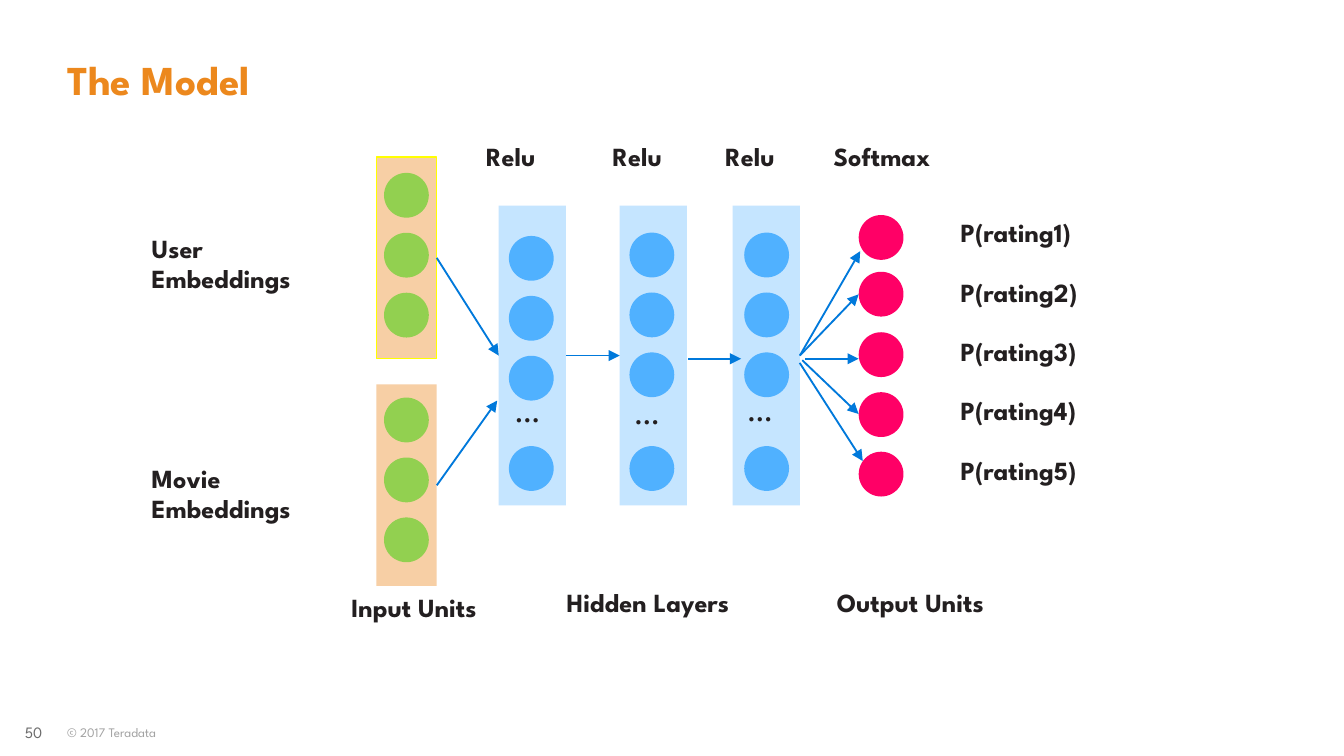
import pptx
import pptx.util
import pptx.dml.color
import pptx.enum.shapes
import pptx.enum.text
import pptx.oxml
import pptx.oxml.ns

Pt = pptx.util.Pt
RGBColor = pptx.dml.color.RGBColor
SHAPE = pptx.enum.shapes.MSO_SHAPE
ALIGN = pptx.enum.text.PP_ALIGN
ANCHOR = pptx.enum.text.MSO_ANCHOR

FONT = "League Spartan"
ORANGE = RGBColor(0xEC, 0x88, 0x1D)
INK = RGBColor(0x23, 0x1F, 0x20)
NUMBER_GREY = RGBColor(0x6C, 0x6C, 0x6C)
FOOTER_GREY = RGBColor(0xA2, 0xA2, 0xA2)
PEACH = RGBColor(0xF7, 0xCF, 0xA5)
YELLOW = RGBColor(0xFF, 0xFF, 0x00)
PALE_BLUE = RGBColor(0xC5, 0xE5, 0xFF)
BLUE = RGBColor(0x50, 0xB1, 0xFF)
GREEN = RGBColor(0x92, 0xD0, 0x50)
PINK = RGBColor(0xFF, 0x00, 0x66)
ARROW_BLUE = RGBColor(0x00, 0x79, 0xDB)

UNIT_SIZE = 24
UNIT_PITCH = 32.1
INPUT_LEFT = 201.6
HIDDEN_TOP = 110.2

RIGHT_SIDE, LEFT_SIDE = 3, 1


def format_text(frame, text, size, color, bold, spacing=None, align=None):
    frame.text = text
    paragraph = frame.paragraphs[0]
    paragraph.alignment = align
    paragraph.line_spacing = spacing
    font = paragraph.runs[0].font
    font.name, font.size, font.bold = FONT, Pt(size), bold
    font.color.rgb = color


def remove_insets(frame):
    frame.margin_left = frame.margin_right = Pt(0)
    frame.margin_top = frame.margin_bottom = Pt(0)


def add_title(slide, text):
    title = slide.shapes.title
    title.left, title.top, title.width, title.height = Pt(36), Pt(13), Pt(648), Pt(43)
    frame = title.text_frame
    remove_insets(frame)
    frame.vertical_anchor = ANCHOR.BOTTOM
    format_text(frame, text, 22, ORANGE, True, 0.95, ALIGN.LEFT)


def add_label(slide, text, left, top, width, height=23, size=14, bold=True):
    label = slide.shapes.add_textbox(Pt(left), Pt(top), Pt(width), Pt(height))
    label.text_frame.word_wrap = True
    format_text(label.text_frame, text, size, INK, bold, 0.95)


def add_footer(slide, text, left, width, size, color, align, wrap):
    footer = slide.shapes.add_textbox(Pt(left), Pt(387.4), Pt(width), Pt(9.5))
    frame = footer.text_frame
    remove_insets(frame)
    frame.word_wrap = wrap
    frame.vertical_anchor = ANCHOR.MIDDLE
    format_text(frame, text, size, color, False, align=align)


def add_filled(shapes, preset, left, top, width, height, fill, outline=None):
    shape = shapes.add_shape(preset, Pt(left), Pt(top), Pt(width), Pt(height))
    shape.shadow.inherit = False
    shape.fill.solid()
    shape.fill.fore_color.rgb = fill
    if outline is None:
        shape.line.fill.background()
    else:
        shape.line.color.rgb = outline
        shape.line.width = Pt(0.75)
    return shape


def add_units(shapes, left, tops, fill):
    """Draw one column of equal circles."""
    for top in tops:
        add_filled(shapes, SHAPE.OVAL, left, top, UNIT_SIZE, UNIT_SIZE, fill)


def evenly(first, count):
    return [first + i * UNIT_PITCH for i in range(count)]


def add_input_layer(slide, top, first_unit, outline=None):
    layer = add_filled(slide.shapes, SHAPE.RECTANGLE, INPUT_LEFT, top, 32.4, 108, PEACH, outline)
    group = slide.shapes.add_group_shape()
    add_units(group.shapes, INPUT_LEFT + 4.1, evenly(first_unit, 3), GREEN)
    return layer


def add_hidden_layer(slide, left, unit_left, first_unit, dots_left, dots_top):
    layer = add_filled(slide.shapes, SHAPE.RECTANGLE, left, HIDDEN_TOP, 36, 160.6, PALE_BLUE)
    add_units(slide.shapes, unit_left, evenly(first_unit, 3) + [239], BLUE)
    add_label(slide, "…", dots_left, dots_top, 24, 28, 18, False)
    return layer


def add_arrow(slide, start, end, source=None, target=None):
    """Draw an arrow, joined to the right of source and the left of target if given."""
    arrow = slide.shapes.add_connector(
        pptx.enum.shapes.MSO_CONNECTOR.STRAIGHT, *map(Pt, start + end))
    if source is not None:
        arrow.begin_connect(source, RIGHT_SIDE)
    if target is not None:
        arrow.end_connect(target, LEFT_SIDE)
    arrow.line.color.rgb = ARROW_BLUE
    arrow.line.width = Pt(1)
    head = pptx.oxml.parse_xml(
        '<a:tailEnd %s type="triangle"/>' % pptx.oxml.ns.nsdecls("a"))
    arrow.line._get_or_add_ln().append(head)
    arrow._element.spPr.append(
        pptx.oxml.parse_xml("<a:effectLst %s/>" % pptx.oxml.ns.nsdecls("a")))


def main():
    presentation = pptx.Presentation()
    presentation.slide_width, presentation.slide_height = Pt(720), Pt(405)
    slide = presentation.slides.add_slide(presentation.slide_layouts[5])

    add_title(slide, "The Model")
    add_footer(slide, "50", 12.2, 10.6, 8.5, NUMBER_GREY, ALIGN.RIGHT, False)
    add_footer(slide, "© 2017 Teradata", 36, 132.5, 7, FOOTER_GREY, ALIGN.LEFT, True)

    movie = add_input_layer(slide, 206, 213)
    user = add_input_layer(slide, 84.2, 92.6, YELLOW)
    first = add_hidden_layer(slide, 267.2, 272.6, 126.4, 268.6, 206.6)
    second = add_hidden_layer(slide, 332, 337.2, 124.6, 332.6, 207.4)
    third = add_hidden_layer(slide, 392.5, 398.7, 124.6, 393.1, 206)
    outputs = slide.shapes.add_group_shape()
    add_units(outputs.shapes, 460, [115.2, 145.6, 178, 210.1, 242], PINK)

    for text, left, top, width, height in [
        ("Relu", 253.4, 72.7, 57.6, 23),
        ("Relu", 321.1, 72.7, 57.6, 23),
        ("Relu", 381.6, 72.7, 57.6, 23),
        ("Softmax", 439.5, 72.7, 86.4, 23),
        ("Input Units", 181.2, 314.6, 86.4, 23),
        ("Hidden Layers", 296.5, 311.8, 126, 23),
        ("Output Units", 441.2, 311.8, 98, 23),
        ("User Embeddings", 74.2, 122.2, 116, 40),
        ("Movie Embeddings", 74.2, 245.4, 116, 40),
    ]:
        add_label(slide, text, left, top, width, height)
    for i in range(5):
        add_label(slide, f"P(rating{i + 1})", 507.6, 113.8 + i * 31.8, 86.4)

    for start, end, source, target in [
        ((234, 138.2), (267.2, 190.5), user, first),
        ((234, 260), (266.4, 214.6), movie, None),
        ((303.2, 190.5), (332, 190.5), first, second),
        ((368.6, 192.2), (397, 192.2), None, None),
        ((428.5, 190.5), (460.8, 134.6), third, None),
        ((428.5, 190.5), (460, 157.7), third, None),
        ((431.3, 192.2), (460, 192.2), None, None),
        ((429.8, 193), (460, 221.8), None, None),
        ((428.4, 194.4), (462.2, 247), None, None),
    ]:
        add_arrow(slide, start, end, source, target)

    presentation.save("out.pptx")


if __name__ == "__main__":
    main()
